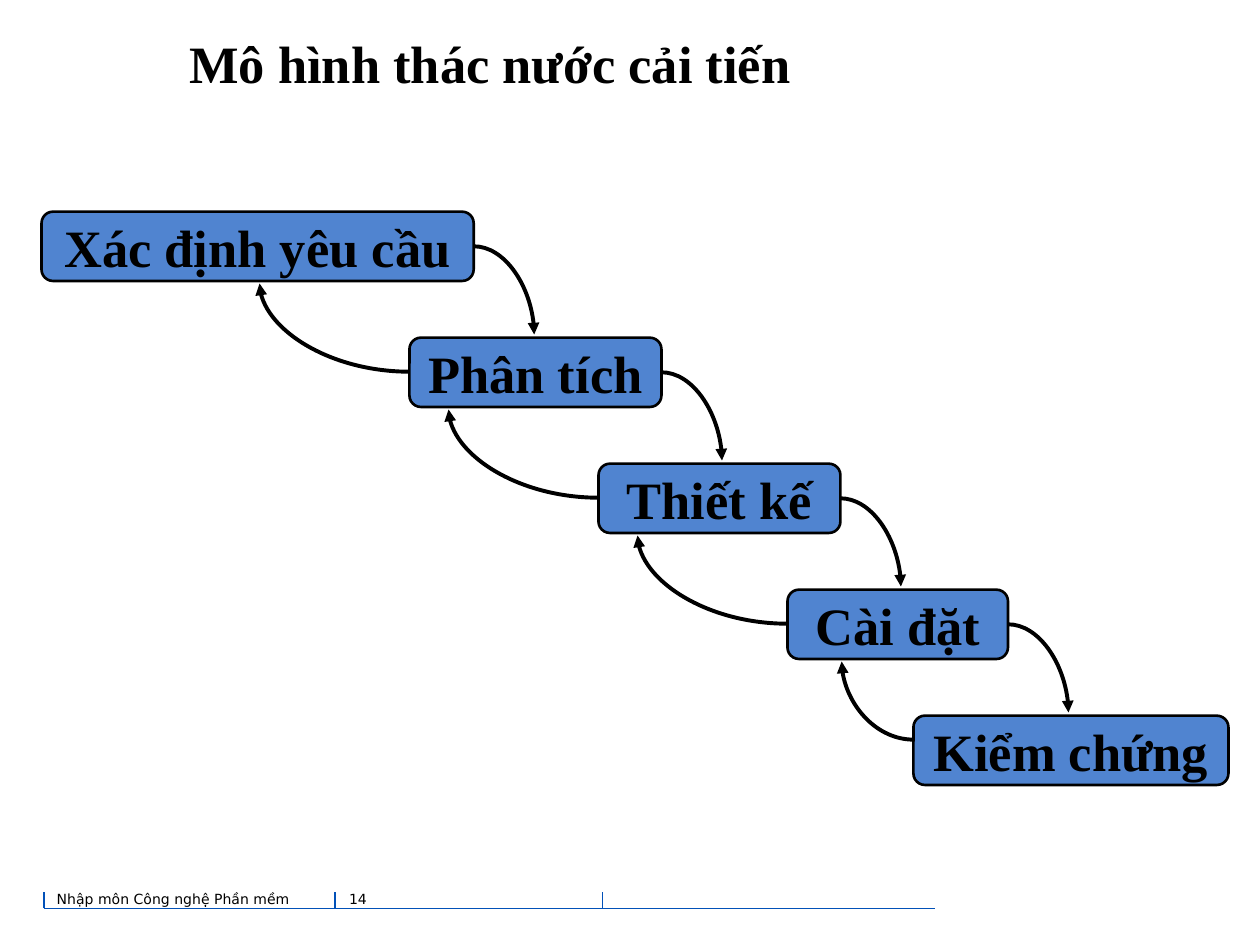
from lxml.etree import SubElement
from pptx import Presentation
from pptx.dml.color import RGBColor
from pptx.enum.shapes import MSO_CONNECTOR as Connector, MSO_SHAPE as Shape
from pptx.enum.text import MSO_ANCHOR as Anchor, PP_ALIGN as Align
from pptx.oxml.ns import qn
from pptx.util import Inches, Pt

# Content
TITLE = "Mô hình thác nước cải tiến"
STAGES = [  # text, left, width
    ("Xác định yêu cầu", 0.33, 3.43),
    ("Phân tích", 3.25, 2),
    ("Thiết kế", 4.75, 1.92),
    ("Cài đặt", 6.25, 1.75),
    ("Kiểm chứng", 7.25, 2.5),
]
FOOTER = [("Nhập môn Công nghệ Phần mềm", 0.41, 2.19), ("14", 2.73, 1.25)]
COLORS = {"text": "000000", "stage": "5084D0", "rule": "0251B8"}
HEADING_FONT, FOOTER_FONT = "Times New Roman", "DejaVu Sans"

# Grid: one stage per row
FIRST_TOP, ROW_STEP, STAGE_HEIGHT = 1.68, 1, 0.55
FORWARD_REACH, ARROW_DROP = 0.48, 0.7
BACK_REACHES = [(1.19, 0.7)] * 3 + [(0.57, 0.62)]
RULE_LEFT, RULE_RIGHT, RULE_Y, TICK_TOP = 0.35, 7.42, 7.21, 7.08
TICKS = [RULE_LEFT, 2.66, 4.78]


def color(name):
    return RGBColor.from_string(COLORS[name])


def set_text(shape, text, font, size, bold=False, align=Align.LEFT,
             anchor=Anchor.TOP, inset=0, wrap=True):
    frame = shape.text_frame
    frame.word_wrap = wrap
    frame.vertical_anchor = anchor
    frame.margin_left = frame.margin_right = Inches(inset)
    frame.margin_top = frame.margin_bottom = Inches(inset)
    paragraph = frame.paragraphs[0]
    paragraph.text = text
    paragraph.alignment = align
    paragraph.font.name = font
    paragraph.font.size = Pt(size)
    paragraph.font.bold = bold
    paragraph.font.color.rgb = color("text")


def add_line(slide, kind, start, end, color_name, width):
    line = slide.shapes.add_connector(kind, *map(Inches, start + end))
    line.line.color.rgb = color(color_name)
    line.line.width = Pt(width)
    SubElement(line._element.spPr, qn("a:effectLst"))
    return line


def add_arrow(slide, left, top, width, height, turned=False):
    """Quarter curve leaving sideways; turned by 180 degrees it runs back up."""
    arrow = add_line(slide, Connector.CURVE, (left, top),
                     (left + width, top + height), "text", 2.25)
    properties = arrow._element.spPr
    properties.find(qn("a:prstGeom")).set("prst", "curvedConnector2")
    if turned:
        properties.find(qn("a:xfrm")).set("rot", str(180 * 60000))
    SubElement(properties.find(qn("a:ln")), qn("a:tailEnd"), type="triangle")


presentation = Presentation()
presentation.slide_width, presentation.slide_height = Inches(10), Inches(7.5)
slide = presentation.slides.add_slide(presentation.slide_layouts[6])

# Footer
add_line(slide, Connector.STRAIGHT, (RULE_RIGHT, RULE_Y), (RULE_LEFT, RULE_Y), "rule", 0.75)
for x in TICKS:
    add_line(slide, Connector.STRAIGHT, (x, RULE_Y), (x, TICK_TOP), "rule", 0.75)
for text, left, width in FOOTER:
    box = slide.shapes.add_textbox(*map(Inches, (left, 7.03, width, 0.25)))
    set_text(box, text, FOOTER_FONT, 8, inset=0.04)

# Title
title = slide.shapes.add_textbox(*map(Inches, (RULE_LEFT, 0.07, 7.08, 0.85)))
set_text(title, TITLE, HEADING_FONT, 30, True, Align.CENTER, Anchor.MIDDLE)

# Stages
for row, (text, left, width) in enumerate(STAGES):
    top = FIRST_TOP + row * ROW_STEP
    stage = slide.shapes.add_shape(Shape.ROUNDED_RECTANGLE,
                                   *map(Inches, (left, top, width, STAGE_HEIGHT)))
    stage.shadow.inherit = False
    stage.fill.solid()
    stage.fill.fore_color.rgb = color("stage")
    stage.line.color.rgb = color("text")
    stage.line.width = Pt(1.5)
    set_text(stage, text, HEADING_FONT, 30, True, Align.CENTER, Anchor.MIDDLE, wrap=False)

# Arrows down to the next stage and back up from it
for row, (back_width, back_height) in enumerate(BACK_REACHES):
    _, left, width = STAGES[row]
    next_left = STAGES[row + 1][1]
    top = FIRST_TOP + row * ROW_STEP
    add_arrow(slide, left + width, top + STAGE_HEIGHT / 2, FORWARD_REACH, ARROW_DROP)
    add_arrow(slide, next_left - back_width, top + STAGE_HEIGHT + 0.02,
              back_width, back_height, turned=True)

presentation.save("out.pptx")
